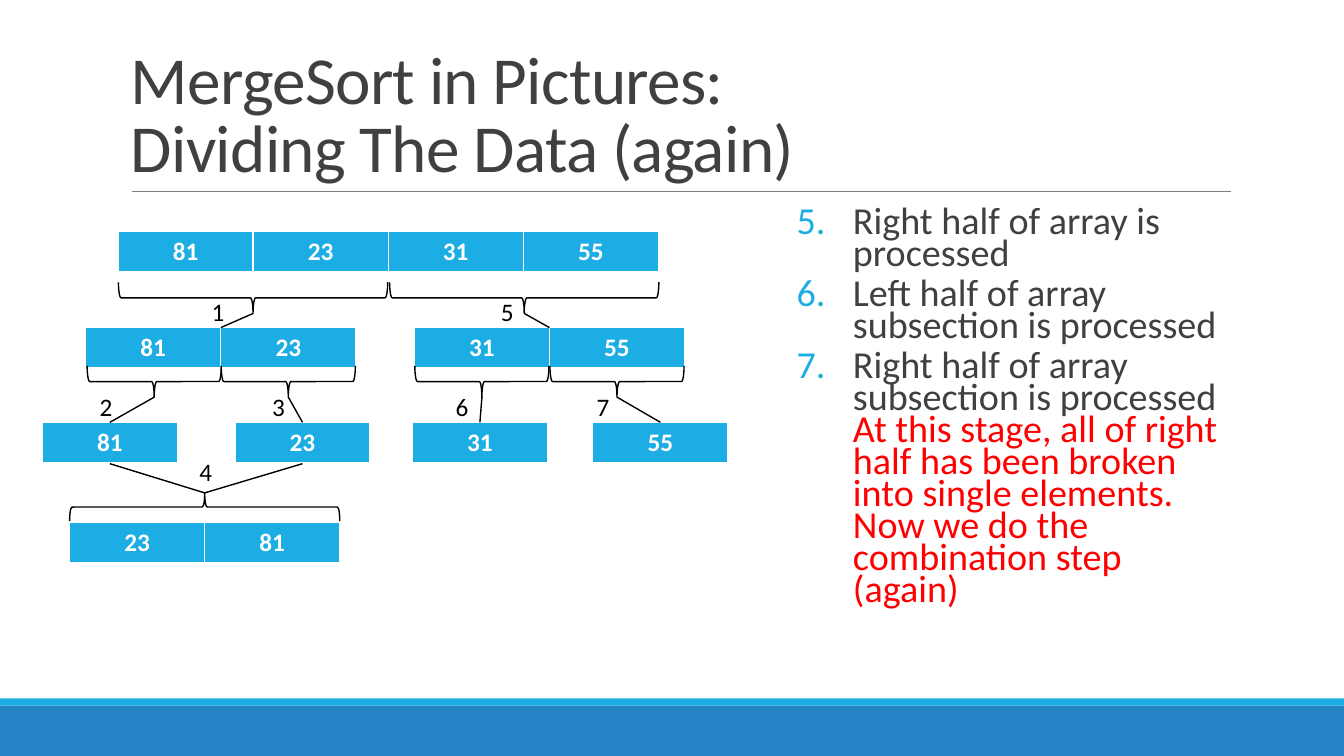
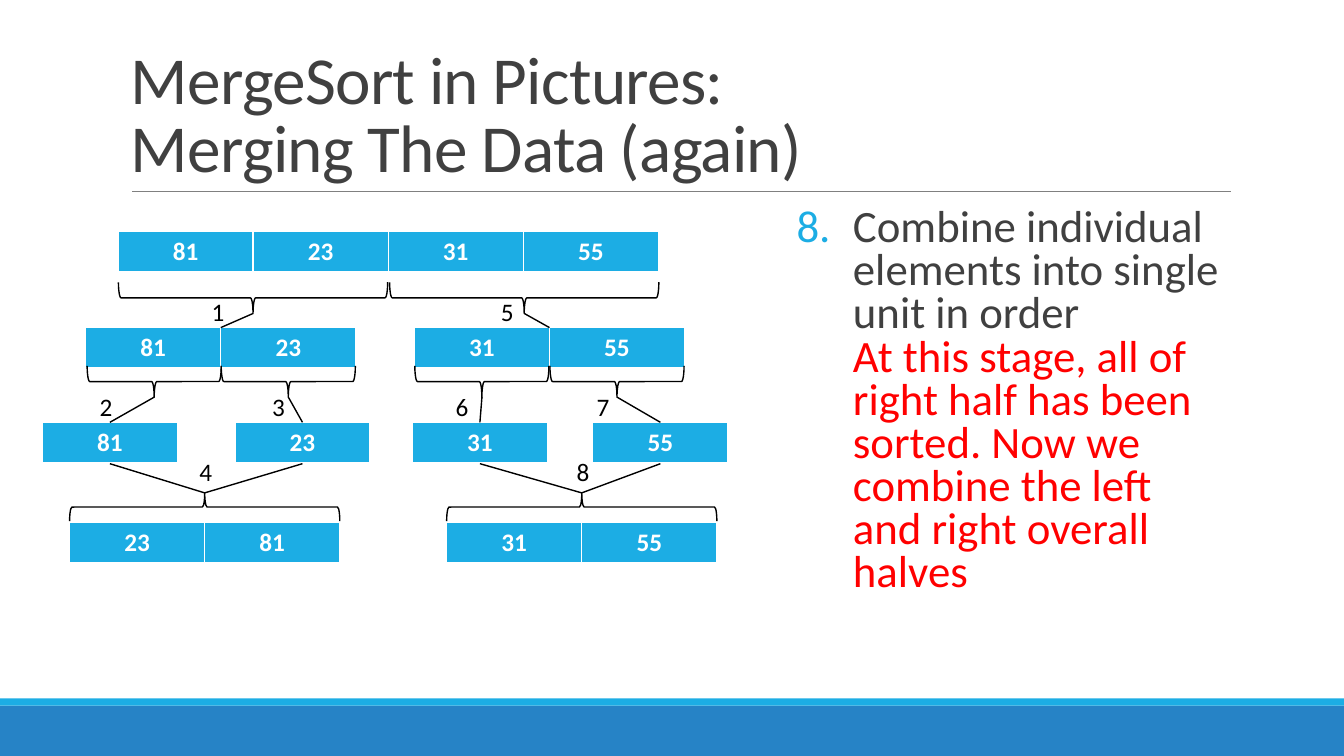
from lxml import etree
from pptx import Presentation
from pptx.dml.color import RGBColor
from pptx.enum.shapes import MSO_CONNECTOR, MSO_SHAPE
from pptx.enum.text import MSO_ANCHOR, PP_ALIGN
from pptx.oxml.ns import qn
from pptx.util import Inches, Pt

RECTANGLE = MSO_SHAPE.RECTANGLE
LEFT_BRACE = MSO_SHAPE.LEFT_BRACE
STRAIGHT = MSO_CONNECTOR.STRAIGHT
CENTER = PP_ALIGN.CENTER
BOTTOM = MSO_ANCHOR.BOTTOM
MIDDLE = MSO_ANCHOR.MIDDLE
TOP = MSO_ANCHOR.TOP

FONT = "Calibri"
BLUE, CYAN, GRAY = "2683C6", "1CADE4", "808080"
DARK, BLACK, WHITE, RED = "404040", "000000", "FFFFFF", "FF0000"

CELL, ROW = 1.34, 0.41
HALF_TOP, LEAF_TOP, MERGE_TOP = 0.95, 1.89, 2.88
SPLIT_DEPTH, MERGE_DEPTH = 0.31, 0.28

HALVES = [
    (("81", "23"), 0.43, 2.09, "1", 1.58),
    (("31", "55"), 3.69, 4.78, "5", 4.45),
]
LEAVES = [
    (("81",), 0, 1.11, "2", 0.47),
    (("23",), 1.91, 2.44, "3", 2.18),
    (("31",), 3.67, 4.36, "6", 4),
    (("55",), 5.46, 5.7, "7", 5.4),
]
LEFT_MERGE = (("23", "81"), 0.27, "4", LEAVES[:2])
RIGHT_MERGE = (("31", "55"), 4.01, "8", LEAVES[2:])


def color(value):
    return RGBColor.from_string(value)


def add_run(para, text, size, shade, bold=False):
    span = para.add_run()
    span.text = text
    span.font.name = FONT
    span.font.size = Pt(size)
    span.font.bold = bold
    span.font.color.rgb = color(shade)
    return span


def add_text_box(page, left, top, width, height, anchor=TOP):
    box = page.shapes.add_textbox(Inches(left), Inches(top), Inches(width), Inches(height))
    box.text_frame.word_wrap = True
    box.text_frame.vertical_anchor = anchor
    return box.text_frame


def add_line(page, start, end, shade=BLACK, weight=1):
    points = [Inches(value) for value in (*start, *end)]
    line = page.shapes.add_connector(STRAIGHT, *points)
    line.line.color.rgb = color(shade)
    line.line.width = Pt(weight)
    etree.SubElement(line._element.spPr, qn("a:effectLst"))


def add_band(page, top, height, shade):
    band = page.shapes.add_shape(RECTANGLE, 0, Inches(top), Inches(13.33), Inches(height))
    band.shadow.inherit = False
    band.fill.solid()
    band.fill.fore_color.rgb = color(shade)
    band.line.fill.background()


def add_brace(page, middle, top, span, depth, rotation):
    brace = page.shapes.add_shape(
        LEFT_BRACE, Inches(middle - depth / 2), Inches(top + (depth - span) / 2),
        Inches(depth), Inches(span))
    brace.rotation = rotation
    brace.shadow.inherit = False
    brace.fill.background()
    brace.line.color.rgb = color(BLACK)
    brace.line.width = Pt(1)


def add_step_label(page, left, top, text):
    frame = add_text_box(page, left, top, 0.36, 0.4)
    add_run(frame.paragraphs[0], text, 18, BLACK)


def add_cell_border(cell, side, weight):
    border = etree.SubElement(cell._tc.get_or_add_tcPr(), qn("a:" + side), w=str(Pt(weight)))
    fill = etree.SubElement(border, qn("a:solidFill"))
    etree.SubElement(fill, qn("a:srgbClr"), val=WHITE)


def add_array(page, left, top, values):
    frame = page.shapes.add_table(
        1, len(values), Inches(left), Inches(top), Inches(CELL * len(values)), Inches(ROW))
    for cell, value in zip(frame.table.iter_cells(), values):
        for side, weight in (("lnL", 1), ("lnR", 1), ("lnT", 1), ("lnB", 3)):
            add_cell_border(cell, side, weight)
        cell.fill.solid()
        cell.fill.fore_color.rgb = color(CYAN)
        para = cell.text_frame.paragraphs[0]
        para.alignment = CENTER
        add_run(para, value, 18, WHITE, bold=True)


def middle_of(values, left):
    return left + CELL * len(values) / 2


def add_split(page, left, top, split, gap):
    values, offset, brace_middle, label, label_left = split
    add_array(page, left + offset, top, values)
    tip = (left + brace_middle, top - gap)
    add_brace(page, tip[0], tip[1] - SPLIT_DEPTH, CELL * len(values) - 0.01, SPLIT_DEPTH, 270)
    add_line(page, tip, (left + middle_of(values, offset), top))
    add_step_label(page, left + label_left, top - 0.36, label)


def add_merge(page, left, top, merge):
    values, offset, label, sources = merge
    add_array(page, left + offset, top + MERGE_TOP, values)
    tip = (left + middle_of(values, offset), top + MERGE_TOP - 0.29)
    add_brace(page, *tip, CELL * len(values), MERGE_DEPTH, 90)
    for source in sources:
        add_line(page, tip, (left + middle_of(*source[:2]), top + LEAF_TOP + ROW))
    add_step_label(page, tip[0] - 0.15, tip[1] - 0.41, label)


def add_sort_tree(page, left, top, merges):
    add_array(page, left + 0.75, top, ("81", "23", "31", "55"))
    for split in HALVES:
        add_split(page, left, top + HALF_TOP, split, 0.14)
    for split in LEAVES:
        add_split(page, left, top + LEAF_TOP, split, 0.25)
    for merge in merges:
        add_merge(page, left, top, merge)


def add_title(page, left, top, width, height, lines):
    para = add_text_box(page, left, top, width, height, BOTTOM).paragraphs[0]
    para.line_spacing = 0.85
    for index, text in enumerate(lines):
        if index:
            para.add_line_break()
        span = add_run(para, text, 48, DARK)
        span.font._element.set("spc", "-50")


def number_paragraph(para, start):
    props = para._p.get_or_add_pPr()
    props.set("marL", str(Inches(0.78)))
    props.set("indent", str(Inches(-0.56)))
    shade = etree.SubElement(props, qn("a:buClr"))
    etree.SubElement(shade, qn("a:srgbClr"), val=CYAN)
    etree.SubElement(props, qn("a:buFont"), typeface=FONT)
    etree.SubElement(props, qn("a:buAutoNum"), type="arabicPeriod", startAt=str(start))


def add_steps(page, left, top, width, height, steps, remark, start, size, spacing):
    frame = add_text_box(page, left, top, width, height)
    frame.margin_left = frame.margin_right = 0
    for index, step in enumerate(steps):
        para = frame.add_paragraph() if index else frame.paragraphs[0]
        para.line_spacing = spacing
        para.space_before = Pt(2)
        para.space_after = Pt(4)
        number_paragraph(para, start)
        add_run(para, step, size, DARK)
    para.add_line_break()
    add_run(para, remark, size, RED)


def add_page(deck, heading, merges, **notes):
    page = deck.slides.add_slide(deck.slide_layouts[6])
    add_band(page, 7, 0.5, BLUE)
    add_band(page, 6.93, 0.07, CYAN)
    add_line(page, (1.31, 1.9), (12.21, 1.9), GRAY, 0.5)
    add_title(page, 1.2, 0.31, 11, 1.59, ("MergeSort in Pictures:", heading))
    add_steps(page, 7.68, 2.02, 4.52, 4.4, **notes)
    add_sort_tree(page, 0.42, 2.3, merges)


def main():
    deck = Presentation()
    deck.slide_width = Inches(13.33)
    deck.slide_height = Inches(7.5)
    add_page(
        deck, "Dividing The Data (again)", [LEFT_MERGE],
        steps=["Right half of array is processed",
               "Left half of array subsection is processed",
               "Right half of array subsection is processed"],
        remark="At this stage, all of right half has been broken into single elements. "
               "Now we do the combination step (again)",
        start=5, size=27.2, spacing=0.7)
    add_page(
        deck, "Merging The Data (again)", [LEFT_MERGE, RIGHT_MERGE],
        steps=["Combine individual elements into single unit in order"],
        remark="At this stage, all of right half has been sorted. "
               "Now we combine the left and right overall halves",
        start=8, size=32, spacing=0.8)
    deck.save("out.pptx")


if __name__ == "__main__":
    main()
